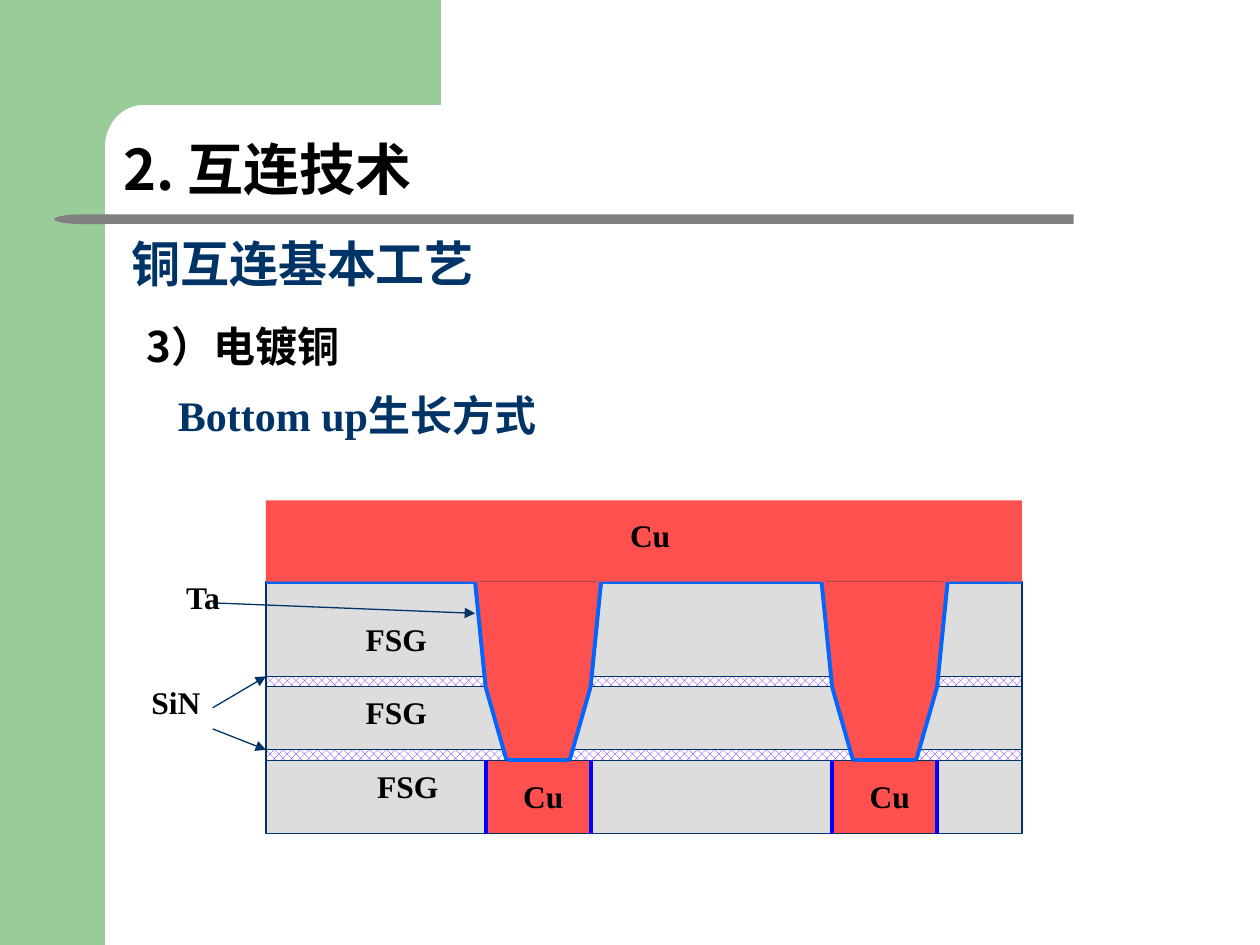
from math import cos, pi, sin

from lxml.etree import SubElement
from pptx import Presentation
from pptx.dml.color import RGBColor
from pptx.enum.dml import MSO_PATTERN
from pptx.enum.shapes import MSO_CONNECTOR, MSO_SHAPE
from pptx.enum.text import MSO_ANCHOR, MSO_AUTO_SIZE, PP_ALIGN
from pptx.oxml.ns import qn
from pptx.util import Pt

COLORS = {
    "green": "99CC99", "bar": "808080", "navy": "003366", "black": "000000",
    "white": "FFFFFF", "copper": "FF5050", "oxide": "DDDDDD",
    "nitride": "6600FF", "tantalum": "0066FF", "barrier": "0000FF",
}
LATIN, CJK = "Times New Roman", "Noto Sans CJK SC"

# Cross-section levels, from the top of the copper down
LEFT, WIDTH = 152, 432
TOP, TRENCH, STOP, VIA, CAP, METAL, BASE = 286, 332.5, 386.5, 392.5, 428.5, 434.5, 476.5
SIN_H = VIA - STOP
# Left edges of the two plugs, and x offsets within a plug
PLUGS = (271.5, 469.5)
PLUG_W, METAL_IN, FOOT_IN = 72, 6, 18
METAL_W, FOOT_W = PLUG_W - 2 * METAL_IN, PLUG_W - 2 * FOOT_IN


def rgb(name):
    return RGBColor.from_string(COLORS[name])


def paint(sp, fill=None, line=None):
    sp.shadow.inherit = False
    if fill:
        sp.fill.solid()
        sp.fill.fore_color.rgb = rgb(fill)
    else:
        sp.fill.background()
    if line:
        sp.line.color.rgb = rgb(line)
        sp.line.width = Pt(0.75)
    else:
        sp.line.fill.background()
    return sp


def add_box(s, x, y, w, h, fill=None, line=None, kind=MSO_SHAPE.RECTANGLE):
    return paint(s.shapes.add_shape(kind, Pt(x), Pt(y), Pt(w), Pt(h)), fill, line)


def add_outline(s, points, fill):
    pts = [(Pt(x), Pt(y)) for x, y in points]
    builder = s.shapes.build_freeform(*pts[0])
    builder.add_line_segments(pts[1:], close=True)
    return paint(builder.convert_to_shape(), fill)


def add_line(s, start, end, color, width=2.25, arrow=False):
    ln = s.shapes.add_connector(MSO_CONNECTOR.STRAIGHT, *map(Pt, (*start, *end)))
    ln.line.color.rgb = rgb(color)
    ln.line.width = Pt(width)
    if arrow:
        SubElement(ln.line._get_or_add_ln(), qn("a:tailEnd"), type="triangle")
    SubElement(ln._element.spPr, qn("a:effectLst"))


def add_run(p, text, size, color, font):
    r = p.add_run()
    r.text = text
    r.font.size = Pt(size)
    r.font.bold = True
    r.font.name = font
    r.font.color.rgb = rgb(color)
    SubElement(r._r.get_or_add_rPr(), qn("a:ea"), typeface=CJK)


def add_text(s, x, y, w, h, text, size=18, color="black", font=LATIN,
             align=PP_ALIGN.CENTER, wrap=True):
    tf = s.shapes.add_textbox(Pt(x), Pt(y), Pt(w), Pt(h)).text_frame
    tf.word_wrap = wrap
    tf.auto_size = MSO_AUTO_SIZE.SHAPE_TO_FIT_TEXT
    p = tf.paragraphs[0]
    p.alignment = align
    add_run(p, text, size, color, font)


def add_heading(s, x, y, w, h, text, size, color):
    sp = add_box(s, x, y, w, h, kind=MSO_SHAPE.ROUNDED_RECTANGLE)
    sp.adjustments[0] = 0.217
    tf = sp.text_frame
    tf.word_wrap = True
    tf.vertical_anchor = MSO_ANCHOR.BOTTOM
    p = tf.paragraphs[0]
    p.alignment = PP_ALIGN.LEFT
    p.line_spacing = 0.9
    add_run(p, text, size, color, CJK)


def add_nitride(s, y):
    sp = add_box(s, LEFT, y, WIDTH, SIN_H, line="navy")
    sp.fill.patterned()
    sp.fill.pattern = MSO_PATTERN.PERCENT_50
    sp.fill.fore_color.rgb = rgb("nitride")
    sp.fill.back_color.rgb = rgb("white")


def add_plug(s, x):
    metal_x, foot_x, right = x + METAL_IN, x + FOOT_IN, x + PLUG_W
    add_box(s, metal_x, VIA, METAL_W, METAL - VIA, "copper",
            kind=MSO_SHAPE.FLOWCHART_MANUAL_OPERATION)
    add_outline(s, [(x, TRENCH), (metal_x, VIA), (metal_x + METAL_W, VIA),
                    (right, TRENCH)], "copper")
    add_box(s, foot_x, CAP, FOOT_W, SIN_H, "copper")
    # Copper edges one nitride thickness higher, then the tantalum liner
    for color, width, rise in (("copper", 3, SIN_H), ("tantalum", 2.25, 0)):
        for edge in ((x, metal_x, foot_x),
                     (right, metal_x + METAL_W, foot_x + FOOT_W)):
            pts = [(px, py - rise) for px, py in zip(edge, (TRENCH, VIA, METAL))]
            for start, end in zip(pts, pts[1:]):
                add_line(s, start, end, color, width)


def add_lower_metal(s):
    right = LEFT + WIDTH
    first, second = (x + METAL_IN for x in PLUGS)
    height = BASE - METAL
    add_box(s, first, METAL, second + METAL_W - first, height, "copper", "navy")
    for x1, x2 in ((LEFT, first), (first + METAL_W, second),
                   (second + METAL_W, right)):
        add_box(s, x1, METAL, x2 - x1, height, "oxide", "navy")
    for x in (first, second):
        for side in (x, x + METAL_W):
            add_line(s, (side, BASE), (side, METAL), "barrier")
        foot = x + FOOT_IN - METAL_IN
        add_line(s, (foot, METAL), (foot + FOOT_W, METAL), "tantalum")


def add_background(s):
    # Green frame with a rounded inner corner
    add_box(s, 0, 0, 60, 540, "green")
    arc = [(82 - 22 * sin(a), 84 - 24 * cos(a))
           for a in (i * pi / 32 for i in range(17))]
    add_outline(s, [(252, 0), (252, 60), *arc, (60, 92), (36, 92), (36, 0)], "green")
    # Title rule with a rounded left end
    add_box(s, 61, 122.5, 552.5, 5.5, "bar")
    cap = add_box(s, 31, 122.5, 31, 5.5, "bar", kind=MSO_SHAPE.FLOWCHART_DELAY)
    cap.rotation = 180


def add_section(s):
    right = LEFT + WIDTH
    add_box(s, LEFT, TRENCH, WIDTH, METAL - TRENCH, "oxide", "navy")
    add_nitride(s, STOP)
    add_nitride(s, CAP)
    # Liner on the top surface between plugs
    starts = [LEFT] + [x + PLUG_W for x in PLUGS]
    for x1, x2 in zip(starts, [*PLUGS, right]):
        add_line(s, (x1, TRENCH), (x2, TRENCH), "tantalum")
    for x in PLUGS:
        add_plug(s, x)
    add_box(s, LEFT, TOP, WIDTH, TRENCH - TOP, "copper")
    add_lower_metal(s)


def add_labels(s):
    for start, end in (((121.5, 344.5), (271.5, 350.5)),
                       ((121.5, 404.5), (LEFT, STOP)),
                       ((121.5, 416.5), (LEFT, CAP))):
        add_line(s, start, end, "navy", 0.75, arrow=True)
    for text, x, y, w in (("Cu", 311.5, 291.5, 120), ("Ta", 80, 326.5, 72),
                          ("SiN", 73.5, 386.5, 54), ("FSG", 157.5, 350.5, 138),
                          ("FSG", 157.5, 392.5, 138), ("FSG", 170, 434.5, 126),
                          ("Cu", 283.5, 440.5, 54), ("Cu", 481.5, 440.5, 54)):
        add_text(s, x, y, w, 29, text)


def main():
    prs = Presentation()
    prs.slide_width, prs.slide_height = Pt(720), Pt(540)
    s = prs.slides.add_slide(prs.slide_layouts[6])
    add_background(s)
    add_section(s)
    add_labels(s)
    # Headings
    add_text(s, 92, 219, 224, 36, "Bottom up生长方式", 24, "navy", wrap=False)
    add_text(s, 76.5, 179.5, 382, 36, "3）电镀铜", 24, font=CJK, align=PP_ALIGN.LEFT)
    add_heading(s, 65.5, 134, 340, 39.5, "铜互连基本工艺", 28, "navy")
    add_heading(s, 60, 71.5, 227, 51, "2. 互连技术", 32, "black")
    prs.save("out.pptx")


if __name__ == "__main__":
    main()
